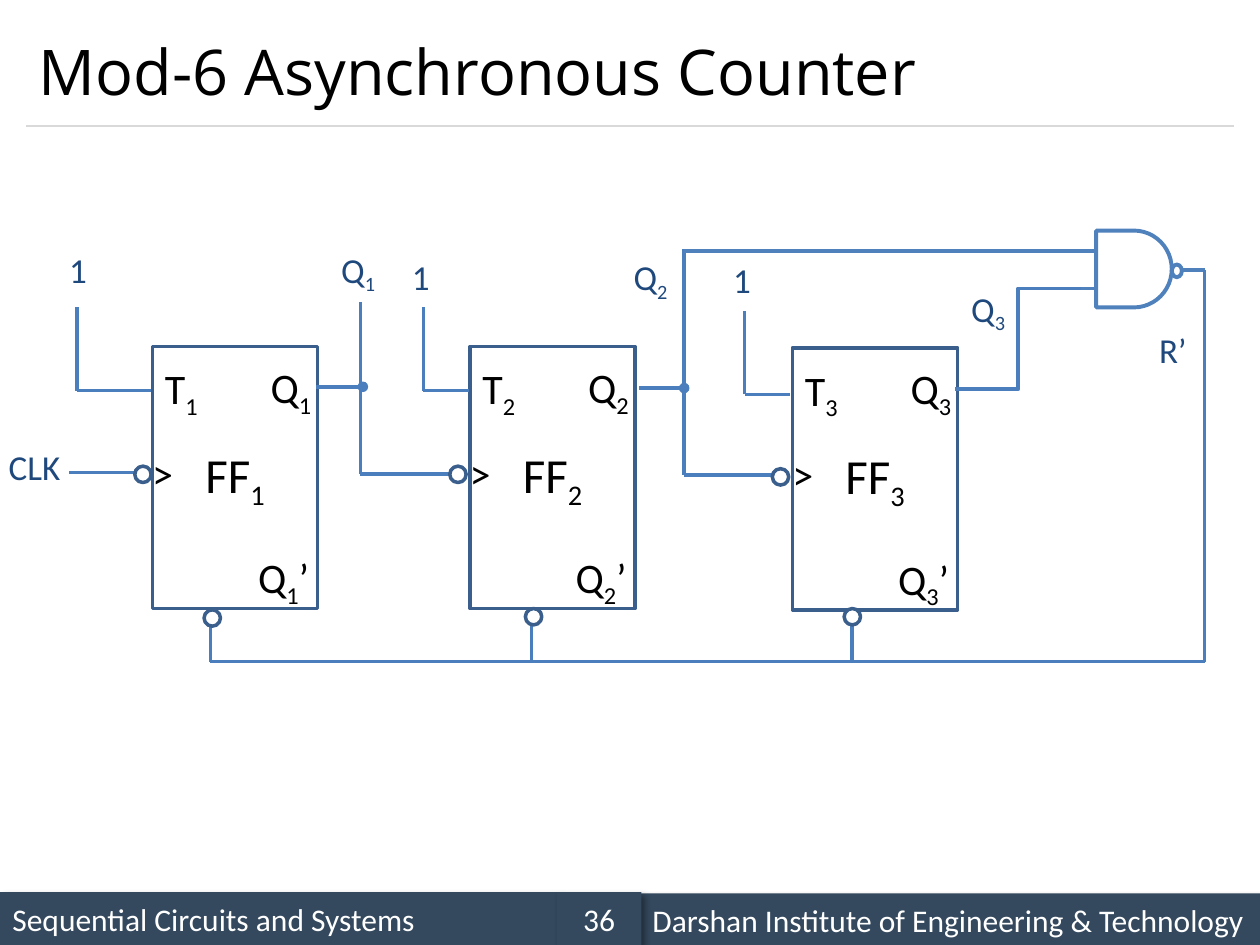
from lxml import etree
from pptx import Presentation
from pptx.dml.color import RGBColor
from pptx.enum.shapes import MSO_CONNECTOR, MSO_SHAPE
from pptx.enum.text import MSO_ANCHOR, MSO_AUTO_SIZE, PP_ALIGN
from pptx.oxml import parse_xml
from pptx.oxml.ns import nsdecls, qn
from pptx.util import Inches, Pt

BLACK, WHITE, NAVY = "000000", "FFFFFF", "1F497D"
WIRE, GATE, OUTLINE, BAR = "4B7EBC", "4F81BD", "3A5F8C", "34495E"
color = RGBColor.from_string

prs = Presentation()
prs.slide_width, prs.slide_height = Inches(10), Inches(7.5)
slide = prs.slides.add_slide(prs.slide_layouts[6])
shapes = slide.shapes


def write(shape, text, size, ink, font="Calibri", align=PP_ALIGN.LEFT):
    """Fill a shape with text; the character after "_" becomes a subscript."""
    paragraph = shape.text_frame.paragraphs[0]
    paragraph.alignment = align
    base, _, rest = text.partition("_")
    for part, subscript in ((base, False), (rest[:1], True), (rest[1:], False)):
        if not part:
            continue
        run = paragraph.add_run()
        run.text = part
        run.font.name, run.font.size = font, Pt(size)
        run.font.color.rgb = color(ink)
        if subscript:
            run.font._element.set("baseline", "-25000")


def wire(x1, y1, x2, y2, ink=WIRE, width=2, kind=MSO_CONNECTOR.STRAIGHT):
    line = shapes.add_connector(kind, Inches(x1), Inches(y1), Inches(x2), Inches(y2))
    line.line.color.rgb = color(ink)
    line.line.width = Pt(width)
    etree.SubElement(line._element.spPr, qn("a:effectLst"))
    return line


# Footer bars
for x, y, width, text, align in (
    (0, 7.08, 4.42, "Sequential Circuits and Systems", PP_ALIGN.LEFT),
    (5.08, 7.09, 4.92, "Darshan Institute of Engineering & Technology", PP_ALIGN.LEFT),
    (4.42, 7.08, 0.67, "36", PP_ALIGN.CENTER),
):
    bar = shapes.add_shape(MSO_SHAPE.RECTANGLE, Inches(x), Inches(y), Inches(width), Inches(0.42))
    bar.fill.solid()
    bar.fill.fore_color.rgb = color(BAR)
    bar.line.fill.background()
    bar._element.spPr.append(parse_xml(
        f'<a:effectLst {nsdecls("a")}><a:outerShdw blurRad="50800" dist="38100" dir="2700000">'
        '<a:srgbClr val="000000"><a:alpha val="40000"/></a:srgbClr></a:outerShdw></a:effectLst>'))
    bar.text_frame.word_wrap = True
    bar.text_frame.vertical_anchor = MSO_ANCHOR.MIDDLE
    write(bar, text, 18, WHITE, align=align)

# Title and rule
wire(0.21, 1, 9.79, 1, "D9D9D9", 0.75)
title = shapes.add_textbox(Inches(0.21), Inches(0.12), Inches(9.58), Inches(0.88))
title.text_frame.word_wrap = True
title.text_frame.vertical_anchor = MSO_ANCHOR.MIDDLE
write(title, "Mod-6 Asynchronous Counter", 36, BLACK, "Open Sans")

# Flip-flops with their pin names
labels = []
for number, (x, y) in enumerate(((1.21, 2.75), (3.73, 2.75), (6.29, 2.76)), 1):
    flip_flop = shapes.add_shape(MSO_SHAPE.RECTANGLE, Inches(x), Inches(y), Inches(1.31), Inches(2.08))
    flip_flop.shadow.inherit = False
    flip_flop.fill.background()
    flip_flop.line.color.rgb = color(OUTLINE)
    flip_flop.line.width = Pt(2)
    flip_flop.text_frame.vertical_anchor = MSO_ANCHOR.MIDDLE
    write(flip_flop, f"FF_{number}", 28, BLACK, align=PP_ALIGN.CENTER)
    labels += [
        (f"T_{number}", x, y + 0.08, 0.48, 24, BLACK),
        (f"Q_{number}", x + 0.84, y + 0.07, 0.54, 24, BLACK),
        (">", x - 0.1, y + 0.75, 0.37, 24, BLACK),
        (f"Q_{number}’", x + 0.74, y + 1.58, 0.63, 24, BLACK),
    ]

# Signal names
labels += [(text, x, y, width, 20, NAVY) for text, x, y, width in (
    ("1", 0.45, 1.92, 0.34), ("1", 3.17, 1.98, 0.28), ("1", 5.72, 2, 0.28),
    ("Q_1", 2.61, 1.92, 0.49), ("Q_2", 4.93, 1.98, 0.49), ("Q_3", 7.61, 2.23, 0.49),
    ("R’", 9.1, 2.56, 0.49), ("CLK", -0.03, 3.49, 0.61),
)]
for text, x, y, width, size, ink in labels:
    height = 0.5 if size == 24 else 0.44
    label = shapes.add_textbox(Inches(x), Inches(y), Inches(width), Inches(height))
    label.text_frame.word_wrap = False
    label.text_frame.auto_size = MSO_AUTO_SIZE.SHAPE_TO_FIT_TEXT
    write(label, text, size, ink)

# T inputs tied to 1
for x, y, end in ((0.61, 3.1, 1.2), (3.36, 3.1, 3.72), (5.91, 3.13, 6.27)):
    wire(x, y, end, y)
    wire(x, y, x, y - 0.66)

# Clock chain: each Q output drives the next clock
wire(0.55, 3.75, 1.11, 3.75)
for x, top, clock_y, start, q_y, end in (
    (2.86, 2.4, 3.76, 2.51, 3.07, 2.88),
    (5.43, 1.98, 3.77, 5.07, 3.08, 5.43),
):
    wire(x, clock_y, x, top)
    wire(x, clock_y, x + 0.75, clock_y)
    junction = wire(start, q_y, end, q_y)
    etree.SubElement(junction.line._get_or_add_ln(), qn("a:tailEnd"), type="oval")

# NAND gate and its inputs
wire(8.42, 2.29, 8.7, 2.29, GATE, 2.25)
wire(5.43, 1.99, 8.7, 1.99, GATE, 2.25)
wire(9.38, 2.14, 9.56, 2.14, GATE, 2.25)
wire(7.58, 3.09, 8.58, 2.29, WIRE, 2.25, MSO_CONNECTOR.ELBOW)
for kind, x, y, width, height in (
    (MSO_SHAPE.OVAL, 9.3, 2.1, 0.08, 0.1),
    (MSO_SHAPE.FLOWCHART_DELAY, 8.7, 1.83, 0.6, 0.61),
):
    gate_part = shapes.add_shape(kind, Inches(x), Inches(y), Inches(width), Inches(height))
    gate_part.shadow.inherit = False
    gate_part.fill.background()
    gate_part.line.color.rgb = color(GATE)
    gate_part.line.width = Pt(2.25)

# Reset line back to every flip-flop
wire(9.56, 5.25, 9.56, 2.14)
wire(1.67, 5.25, 9.56, 5.25)
for x in (1.67, 4.22, 6.76):
    wire(x, 5.25, x, 4.92)

# Inversion bubbles on the clock and reset pins
for x, y in ((1.07, 3.7), (3.57, 3.7), (6.13, 3.72), (1.62, 4.84), (4.17, 4.83), (6.7, 4.83)):
    bubble = shapes.add_shape(MSO_SHAPE.OVAL, Inches(x), Inches(y), Inches(0.13), Inches(0.13))
    bubble.shadow.inherit = False
    bubble.fill.solid()
    bubble.fill.fore_color.rgb = color(WHITE)
    bubble.line.color.rgb = color(OUTLINE)
    bubble.line.width = Pt(2)

prs.save("out.pptx")
